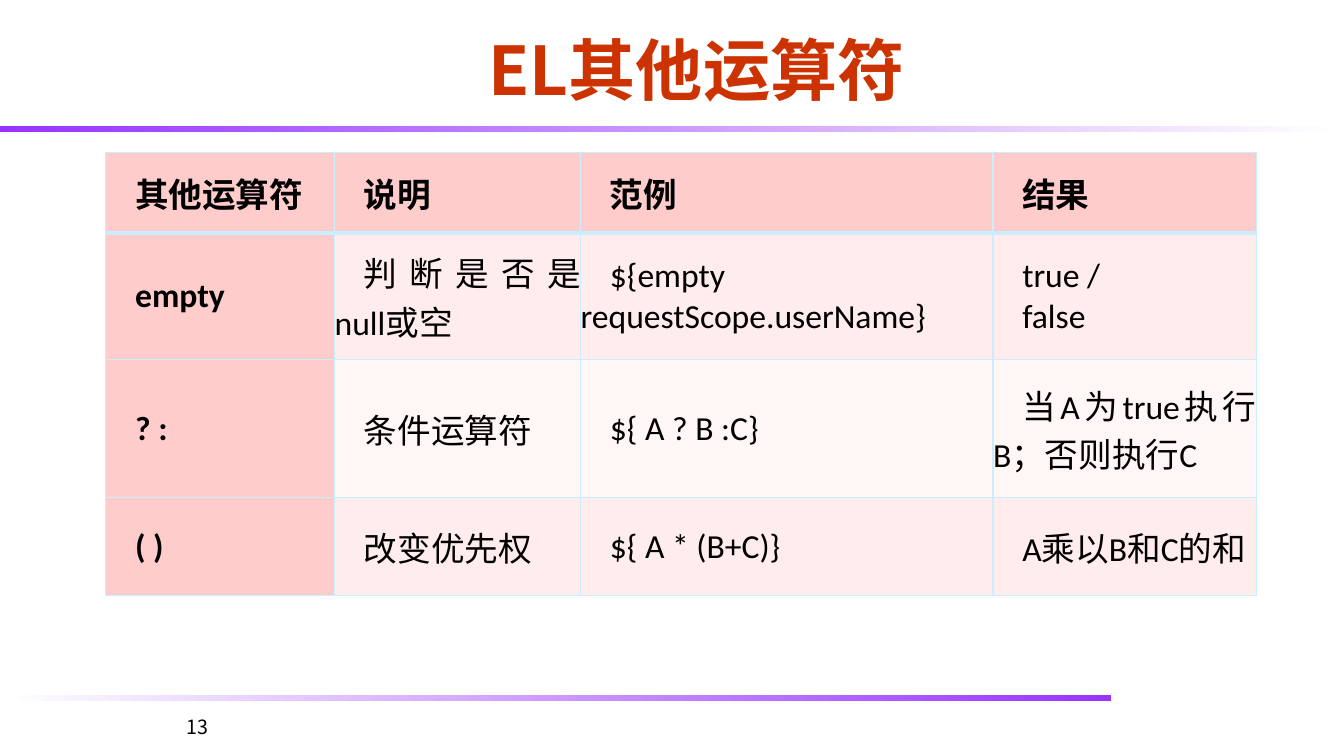
import pptx
import pptx.dml.color
import pptx.enum.shapes
import pptx.enum.text
import pptx.oxml
import pptx.oxml.ns
import pptx.util
from lxml import etree

WIDTH, HEIGHT = 13.33, 7.5
CJK, LATIN = "Noto Sans CJK SC", "Calibri"
PURPLE, WHITE, BLACK, RED = "9933FF", "FFFFFF", "000000", "CC3300"
HEADING_FILL, BAND_FILLS, RULE = "FFCCCC", ("FFF6F6", "FFECEC"), "CCECFF"
FIRST_LINE = 0.29

COLUMNS = (2.27, 2.44, 4.09, 2.61)
ROWS = (0.8, 1.26, 1.37, 0.97)
OPERATORS = (
    ("其他运算符", "说明", "范例", "结果"),
    ("empty", "判断是否是null或空", "${empty requestScope.userName}", "true /\nfalse"),
    ("? :", "条件运算符", "${ A ? B :C}", "当A为true执行B；否则执行C"),
    ("( )", "改变优先权", "${ A * (B+C)}", "A乘以B和C的和"),
)
ALIGN = pptx.enum.text.PP_ALIGN
ANCHOR = pptx.enum.text.MSO_ANCHOR


def color(value):
    return pptx.dml.color.RGBColor.from_string(value)


def inches(*lengths):
    return [pptx.util.Inches(length) for length in lengths]


def write(frame, text, size, font=CJK, fill=BLACK, bold=False, align=ALIGN.LEFT, first_line=0):
    frame.word_wrap = True
    for number, line in enumerate(text.split("\n")):
        paragraph = frame.add_paragraph() if number else frame.paragraphs[0]
        paragraph.alignment = align
        if first_line:
            properties = paragraph._p.get_or_add_pPr()
            properties.set("marL", "0")
            properties.set("indent", str(pptx.util.Inches(first_line)))
        run = paragraph.add_run()
        run.text = line
        run.font.size = pptx.util.Pt(size)
        run.font.bold = bold
        run.font.color.rgb = color(fill)
        run.font.name = font
        east_asian = etree.SubElement(run._r.get_or_add_rPr(), pptx.oxml.ns.qn("a:ea"))
        east_asian.set("typeface", CJK if font == LATIN else font)


def add_band(slide, box, start, end):
    band = slide.shapes.add_shape(pptx.enum.shapes.MSO_SHAPE.RECTANGLE, *inches(*box))
    band.shadow.inherit = False
    band.line.fill.background()
    band.fill.gradient()
    band.fill.gradient_angle = 0
    for stop, shade in zip(band.fill.gradient_stops, (start, end)):
        stop.color.rgb = color(shade)


def add_title(slide, box, text):
    title = slide.shapes.title
    title.left, title.top, title.width, title.height = inches(*box)
    title.text_frame.vertical_anchor = ANCHOR.BOTTOM
    write(title.text_frame, text, 48, fill=RED, bold=True, align=ALIGN.CENTER)


def add_page_number(slide, box, number):
    page = slide.shapes.add_textbox(*inches(*box))
    write(page.text_frame, number, 14, font="Noto Sans CJK JP")


def border(cell, top, bottom):
    for side, width in (("L", 1), ("R", 1), ("T", top), ("B", bottom)):
        line = etree.SubElement(cell._tc.get_or_add_tcPr(), pptx.oxml.ns.qn("a:ln" + side))
        line.set("w", str(pptx.util.Pt(width)))
        solid = etree.SubElement(line, pptx.oxml.ns.qn("a:solidFill"))
        etree.SubElement(solid, pptx.oxml.ns.qn("a:srgbClr")).set("val", RULE)


def add_operator_table(slide, left, top):
    box = inches(left, top, sum(COLUMNS), sum(ROWS))
    table = slide.shapes.add_table(len(ROWS), len(COLUMNS), *box).table
    for column, width in zip(table.columns, inches(*COLUMNS)):
        column.width = width
    for row, height in zip(table.rows, inches(*ROWS)):
        row.height = height
    for r, texts in enumerate(OPERATORS):
        for c, text in enumerate(texts):
            cell = table.cell(r, c)
            heading = r == 0 or c == 0
            # The thick rule under the headings belongs to both rows that share it
            border(cell, top=3 if r == 1 else 1, bottom=3 if r == 0 else 1)
            cell.fill.solid()
            cell.fill.fore_color.rgb = color(HEADING_FILL if heading else BAND_FILLS[r % 2])
            cell.margin_left = cell.margin_right = cell.margin_top = cell.margin_bottom = 0
            cell.vertical_anchor = ANCHOR.MIDDLE
            align = ALIGN.LEFT if (r, c) == (1, 2) else ALIGN.JUSTIFY
            write(cell.text_frame, text, 24, font=LATIN, bold=heading,
                  align=align, first_line=FIRST_LINE)


def main():
    deck = pptx.Presentation()
    deck.slide_width, deck.slide_height = inches(WIDTH, HEIGHT)
    slide = deck.slides.add_slide(deck.slide_layouts.get_by_name("Title Only"))
    add_band(slide, (0, 1.25, WIDTH, 0.06), PURPLE, WHITE)
    add_band(slide, (0, 6.9, 11.02, 0.06), WHITE, PURPLE)
    add_title(slide, (1.22, 0.17, 11.38, 0.96), "EL其他运算符")
    add_page_number(slide, (1.75, 7.04, 0.58, 0.29), "13")
    add_operator_table(slide, 1.05, 1.51)
    deck.save("out.pptx")


if __name__ == "__main__":
    main()
